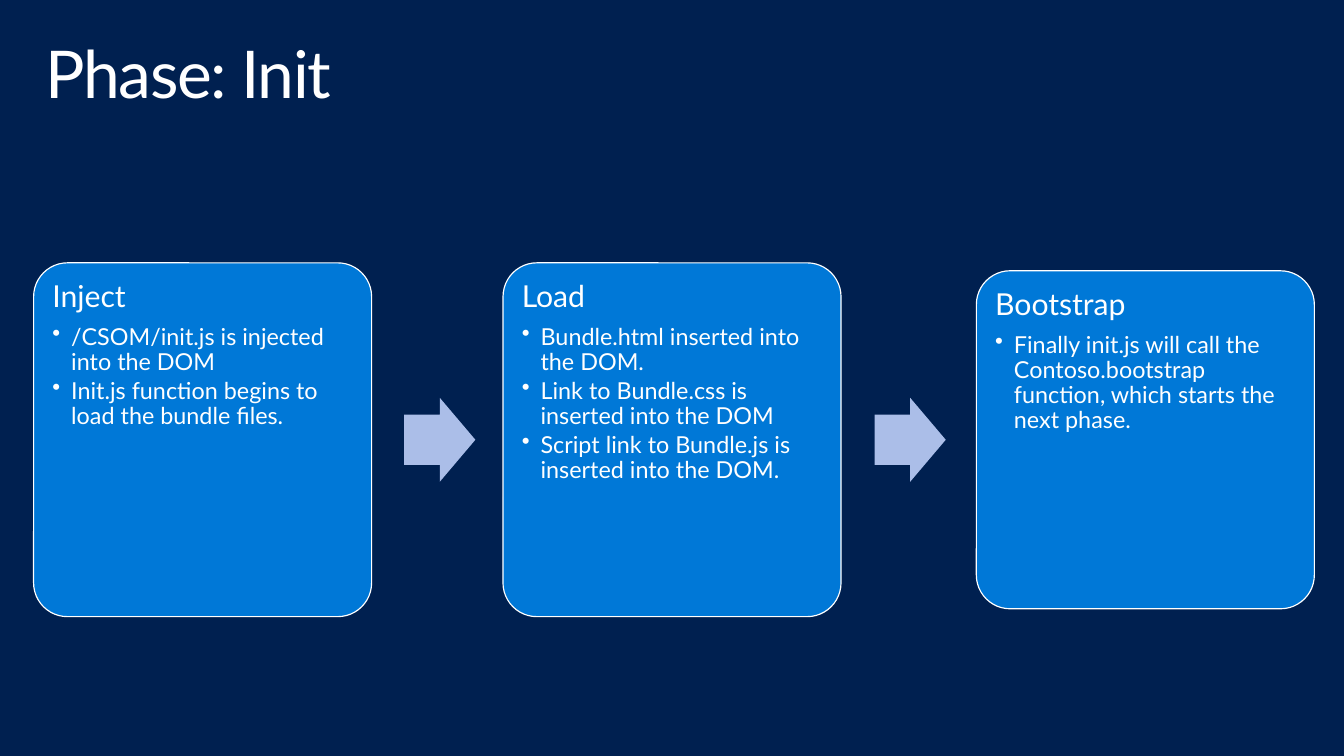
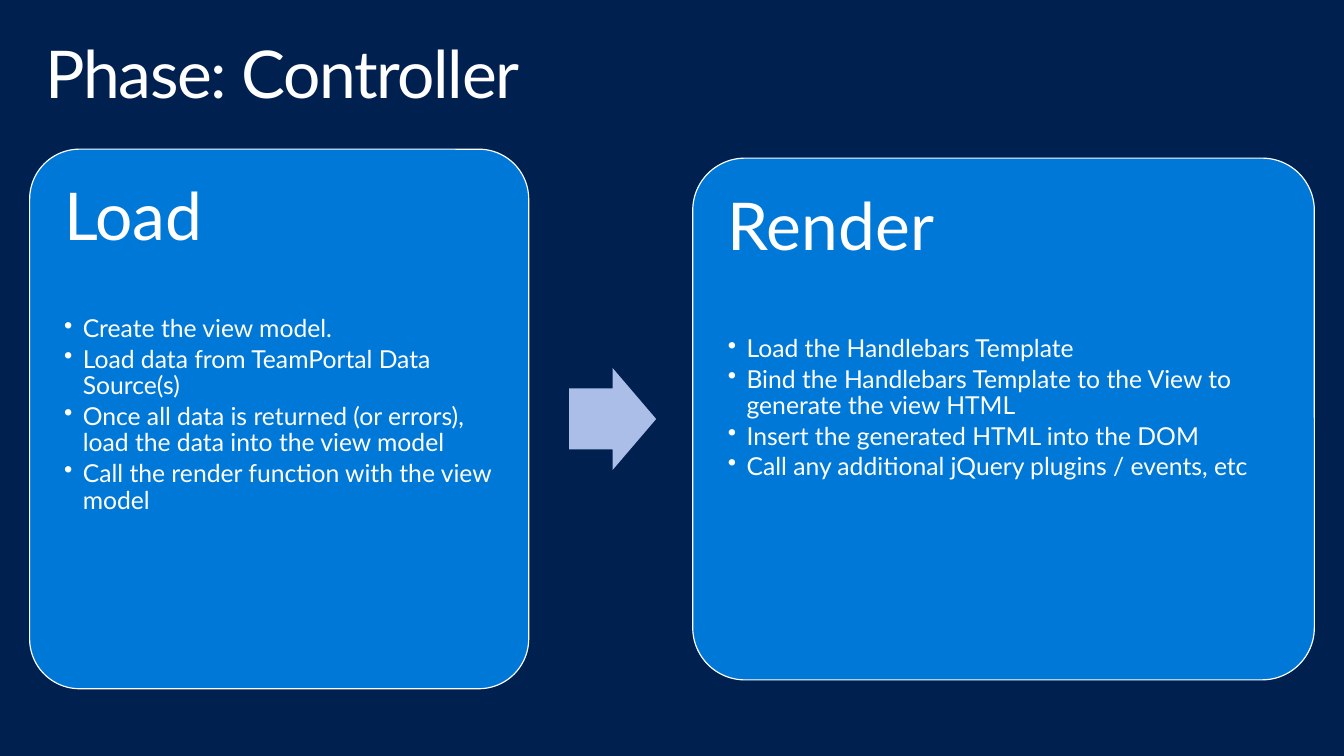
import pptx
import pptx.util
import pptx.dml.color
import pptx.enum.shapes
import pptx.enum.text
import pptx.oxml.ns
import lxml.etree

SCALE = 9144
MSO = pptx.enum.shapes.MSO_SHAPE


def px(n):
    return pptx.util.Emu(round(n * SCALE))


class Deck:
    COLORS = {"back": "002050", "card": "0078D7", "arrow": "ABBEE8", "text": "FFFFFF"}
    FONT = "Lato"
    INDENT = 19

    def __init__(self):
        self.prs = pptx.Presentation()
        self.prs.slide_width = px(1360)
        self.prs.slide_height = px(765)
        self.s = None

    def color(self, name):
        return pptx.dml.color.RGBColor.from_string(self.COLORS[name])

    def slide(self, title):
        self.s = self.prs.slides.add_slide(self.prs.slide_layouts[6])
        fill = self.s.background.fill
        fill.solid()
        fill.fore_color.rgb = self.color("back")
        sp = self.s.shapes.add_textbox(px(30), px(32), px(1300), px(100))
        self.frame(sp.text_frame, 16, 10)
        r = self.paragraph(sp.text_frame.paragraphs[0], title, 48)
        r._r.get_or_add_rPr().set("spc", "-100")

    def frame(self, tf, side, top):
        tf.word_wrap = True
        tf.vertical_anchor = pptx.enum.text.MSO_ANCHOR.TOP
        tf.margin_left = tf.margin_right = px(side)
        tf.margin_top = tf.margin_bottom = px(top)

    def paragraph(self, p, text, size, after=0):
        p.text = text
        p.alignment = pptx.enum.text.PP_ALIGN.LEFT
        p.line_spacing = 0.9
        p.space_after = pptx.util.Pt(after)
        r = p.runs[0]
        r.font.name = self.FONT
        r.font.size = pptx.util.Pt(size)
        r.font.color.rgb = self.color("text")
        return r

    def bullet(self, p, text, size):
        self.paragraph(p, text, size, size * 0.15)
        pPr = p._p.get_or_add_pPr()
        pPr.set("marL", str(px(self.INDENT)))
        pPr.set("indent", str(-px(self.INDENT)))
        bu = lxml.etree.SubElement(pPr, pptx.oxml.ns.qn("a:buChar"))
        bu.set("char", "•")

    def shape(self, kind, x, middle, w, h, fill):
        sp = self.s.shapes.add_shape(kind, px(x), px(middle - h / 2), px(w), px(h))
        sp.shadow.inherit = False
        sp.fill.solid()
        sp.fill.fore_color.rgb = self.color(fill)
        return sp

    def card(self, x, middle, w, h, heading, bullets, inset, sizes, gap):
        sp = self.shape(MSO.ROUNDED_RECTANGLE, x, middle, w, h, "card")
        sp.adjustments[0] = 0.1
        sp.line.color.rgb = self.color("text")
        sp.line.width = pptx.util.Pt(0.85)
        tf = sp.text_frame
        self.frame(tf, inset, inset)
        self.paragraph(tf.paragraphs[0], heading, sizes[0], gap)
        for text in bullets:
            self.bullet(tf.add_paragraph(), text, sizes[1])

    def arrow(self, x, middle, w, h):
        sp = self.shape(MSO.RIGHT_ARROW, x, middle, w, h, "arrow")
        sp.adjustments[0] = 0.6
        sp.adjustments[1] = 0.5
        sp.line.fill.background()


INIT_STEPS = [
    (34, 358, "Inject", [
        "/CSOM/init.js is injected into the DOM",
        "Init.js function begins to load the bundle files.",
    ]),
    (509, 358, "Load", [
        "Bundle.html inserted into the DOM.",
        "Link to Bundle.css is inserted into the DOM",
        "Script link to Bundle.js is inserted into the DOM.",
    ]),
    (988, 342, "Bootstrap", [
        "Finally init.js will call the Contoso.bootstrap function, "
        "which starts the next phase.",
    ]),
]

CONTROLLER_STEPS = [
    (30, 505, 546, "Load", 45, [
        "Create the view model.",
        "Load data from TeamPortal Data Source(s)",
        "Once all data is returned (or errors), load the data into the view model",
        "Call the render function with the view model",
    ]),
    (701, 629, 528, "Render", 52.5, [
        "Load the Handlebars Template",
        "Bind the Handlebars Template to the View to generate the view HTML",
        "Insert the generated HTML into the DOM",
        "Call any additional jQuery plugins / events, etc",
    ]),
]


def main():
    deck = Deck()

    deck.slide("Phase: Init")
    for x, h, heading, bullets in INIT_STEPS:
        deck.card(x, 445, 342, h, heading, bullets, 9, (22, 17), 8)
    for x in (409, 885):
        deck.arrow(x, 445, 72, 85)

    deck.slide("Phase: Controller")
    for x, w, h, heading, gap, bullets in CONTROLLER_STEPS:
        deck.card(x, 424, w, h, heading, bullets, 20, (48, 18), gap)
    deck.arrow(576, 424, 88, 103)

    deck.prs.save("out.pptx")


if __name__ == "__main__":
    main()
